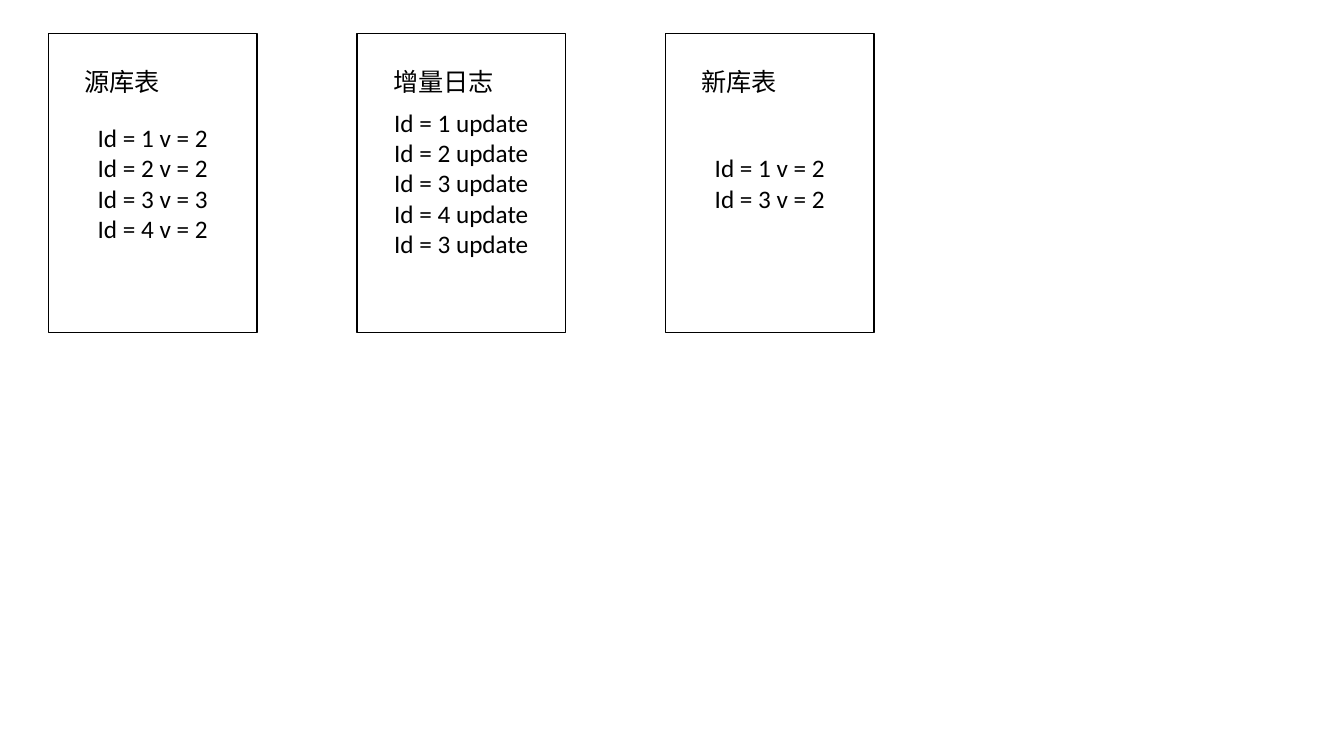
from dataclasses import dataclass

from pptx import Presentation
from pptx import util as u
from pptx.dml.color import RGBColor
from pptx.enum import shapes, text

COLORS = {"paper": "FFFFFF", "ink": "000000"}
FONT, FONT_SIZE = "Calibri", 18

# Column grid, in inches
FIRST_LEFT, COLUMN_PITCH = 0.48, 3.06
STORE_TOP, STORE_WIDTH, STORE_HEIGHT = 0.33, 2.07, 2.97
HEADING_INDENT, HEADING_TOP = 0.26, 0.61
HEADING_WIDTH, HEADING_HEIGHT = 1.57, 0.4


@dataclass
class Store:
    heading: str
    records: list[str]


STORES = [
    Store("源库表", [f"Id = {key} v = {value}"
                  for key, value in [(1, 2), (2, 2), (3, 3), (4, 2)]]),
    Store("增量日志", [f"Id = {key} update" for key in (1, 2, 3, 4, 3)]),
    Store("新库表", [f"Id = {key} v = 2" for key in (1, 3)]),
]


def color(key: str) -> RGBColor:
    return RGBColor.from_string(COLORS[key])


def write(frame, lines: list[str], align) -> None:
    frame.word_wrap = True
    for index, line in enumerate(lines):
        paragraph = frame.paragraphs[0] if index == 0 else frame.add_paragraph()
        paragraph.alignment = align
        run = paragraph.add_run()
        run.text = line
        run.font.name = FONT
        run.font.size = u.Pt(FONT_SIZE)
        run.font.color.rgb = color("ink")


def draw_store(slide, store: Store, column: int) -> None:
    left = FIRST_LEFT + column * COLUMN_PITCH

    # Framed records
    records = slide.shapes.add_shape(
        shapes.MSO_SHAPE.RECTANGLE, u.Inches(left), u.Inches(STORE_TOP),
        u.Inches(STORE_WIDTH), u.Inches(STORE_HEIGHT))
    records.shadow.inherit = False
    records.fill.solid()
    records.fill.fore_color.rgb = color("paper")
    records.line.color.rgb = color("ink")
    records.line.width = u.Pt(1)
    records.text_frame.vertical_anchor = text.MSO_ANCHOR.MIDDLE
    write(records.text_frame, store.records, text.PP_ALIGN.CENTER)

    # Heading inside the frame
    heading = slide.shapes.add_textbox(
        u.Inches(left + HEADING_INDENT), u.Inches(HEADING_TOP),
        u.Inches(HEADING_WIDTH), u.Inches(HEADING_HEIGHT))
    heading.text_frame.auto_size = text.MSO_AUTO_SIZE.SHAPE_TO_FIT_TEXT
    write(heading.text_frame, [store.heading], text.PP_ALIGN.LEFT)


# Blank slide with one column per store
deck = Presentation()
deck.slide_width, deck.slide_height = u.Inches(13.33), u.Inches(7.5)
migration = deck.slides.add_slide(deck.slide_layouts[6])
for column, store in enumerate(STORES):
    draw_store(migration, store, column)

deck.save("out.pptx")
